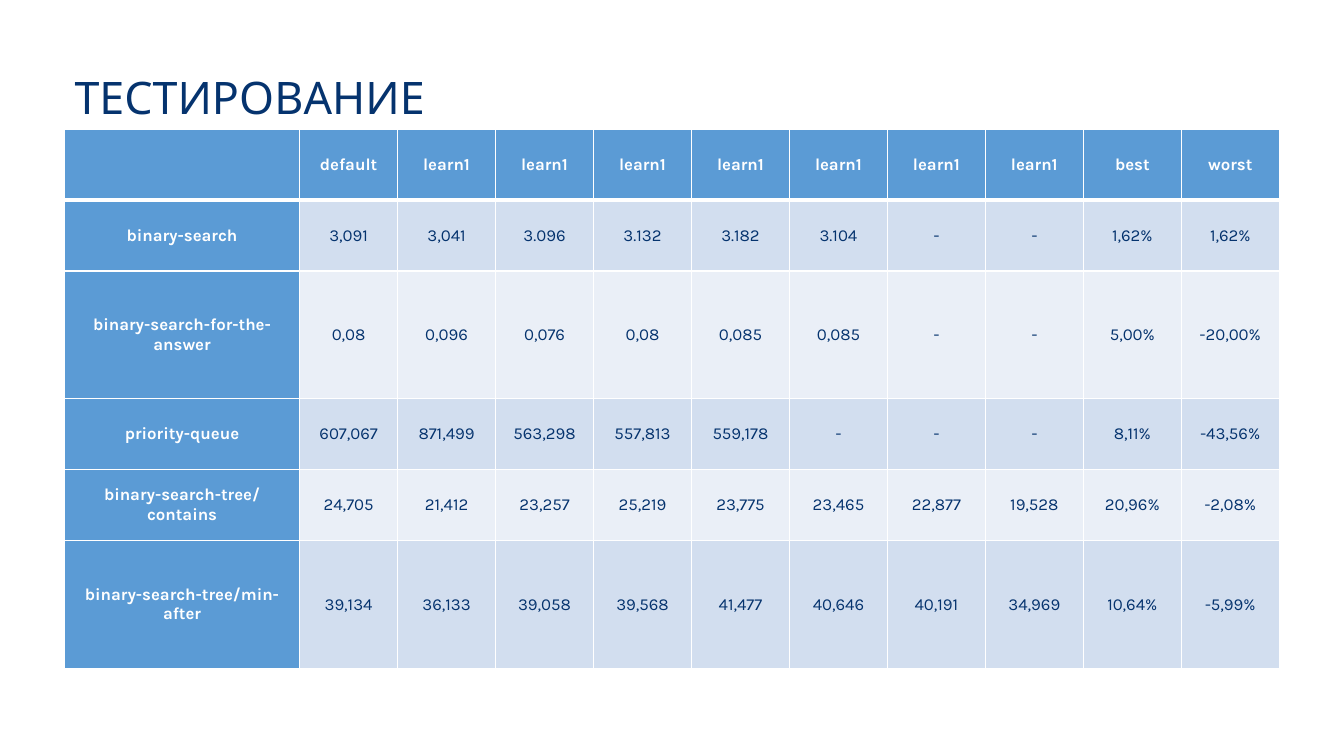
from lxml.etree import SubElement
from pptx import Presentation
from pptx.dml.color import RGBColor
from pptx.enum.text import MSO_ANCHOR as Anchor, MSO_AUTO_SIZE as AutoSize, PP_ALIGN as Align
from pptx.oxml.ns import qn
from pptx.util import Inches, Pt

COLORS = {
    "navy": "05336E",
    "white": "FFFFFF",
    "header": "5B9BD5",
    "odd_row": "D2DEEF",
    "even_row": "EAEFF7",
}
FONT = "Karla"

HEADINGS = ["", "default"] + ["learn1"] * 7 + ["best", "worst"]
RESULTS = [
    ["binary-search", "3,091", "3,041", "3.096", "3.132", "3.182", "3.104",
     "-", "-", "1,62%", "1,62%"],
    ["binary-search-for-the-answer", "0,08", "0,096", "0,076", "0,08", "0,085", "0,085",
     "-", "-", "5,00%", "-20,00%"],
    ["priority-queue", "607,067", "871,499", "563,298", "557,813", "559,178", "-",
     "-", "-", "8,11%", "-43,56%"],
    ["binary-search-tree/contains", "24,705", "21,412", "23,257", "25,219", "23,775", "23,465",
     "22,877", "19,528", "20,96%", "-2,08%"],
    ["binary-search-tree/min-after", "39,134", "36,133", "39,058", "39,568", "41,477", "40,646",
     "40,191", "34,969", "10,64%", "-5,99%"],
]
COLUMN_WEIGHTS = [2.4] + [1] * 10
ROW_WEIGHTS = [1, 1, 1.8, 1, 1, 1.8]


def color(name):
    return RGBColor.from_string(COLORS[name])


def format_text(paragraph, size, color_name, align, bold=False):
    paragraph.alignment = align
    for run in paragraph.runs:
        run.font.name = FONT
        run.font.size = Pt(size)
        run.font.bold = bold
        run.font.color.rgb = color(color_name)


def share_out(lines, weights, total, attribute):
    for line, weight in zip(lines, weights):
        setattr(line, attribute, int(total * weight / sum(weights)))


def add_borders(cell, widths):
    properties = cell._tc.get_or_add_tcPr()
    for side, width in zip("LRTB", widths):
        border = SubElement(properties, qn(f"a:ln{side}"), w=str(Pt(width)))
        fill = SubElement(border, qn("a:solidFill"))
        SubElement(fill, qn("a:srgbClr"), val=COLORS["white"])


def format_cell(cell, row, column):
    is_heading = row == 0 or column == 0
    add_borders(cell, [1, 1, 3 if row == 1 else 1, 3 if row == 0 else 1])
    cell.fill.solid()
    cell.fill.fore_color.rgb = color(
        "header" if is_heading else "odd_row" if row % 2 else "even_row")
    cell.vertical_anchor = Anchor.MIDDLE
    cell.margin_left = cell.margin_right = Inches(0.07)
    cell.margin_top = cell.margin_bottom = 0
    format_text(cell.text_frame.paragraphs[0], 12,
                "white" if is_heading else "navy", Align.CENTER, is_heading)


def place_title(slide, left, top, width, height):
    title = slide.shapes.title
    title.left, title.top, title.width, title.height = left, top, width, height
    frame = title.text_frame
    frame.text = "ТЕСТИРОВАНИЕ"
    frame.word_wrap = True
    frame.auto_size = AutoSize.NONE
    frame.vertical_anchor = Anchor.MIDDLE
    frame.paragraphs[0].line_spacing = 0.9
    format_text(frame.paragraphs[0], 32, "navy", Align.LEFT)


def add_results(slide, left, top, width, height):
    rows = [HEADINGS] + RESULTS
    results = slide.shapes.add_table(
        len(rows), len(HEADINGS), left, top, width, height).table
    share_out(results.columns, COLUMN_WEIGHTS, width, "width")
    share_out(results.rows, ROW_WEIGHTS, height, "height")
    for row, values in enumerate(rows):
        for column, value in enumerate(values):
            cell = results.cell(row, column)
            cell.text_frame.text = value
            format_cell(cell, row, column)


def main():
    deck = Presentation()
    deck.slide_width, deck.slide_height = Inches(13.33), Inches(7.5)
    slide = deck.slides.add_slide(deck.slide_layouts[5])
    left = Inches(0.64)
    place_title(slide, left, Inches(0.59), Inches(8.65), Inches(0.8))
    add_results(slide, left, Inches(1.28), Inches(12.05), Inches(5.35))
    deck.save("out.pptx")


if __name__ == "__main__":
    main()
